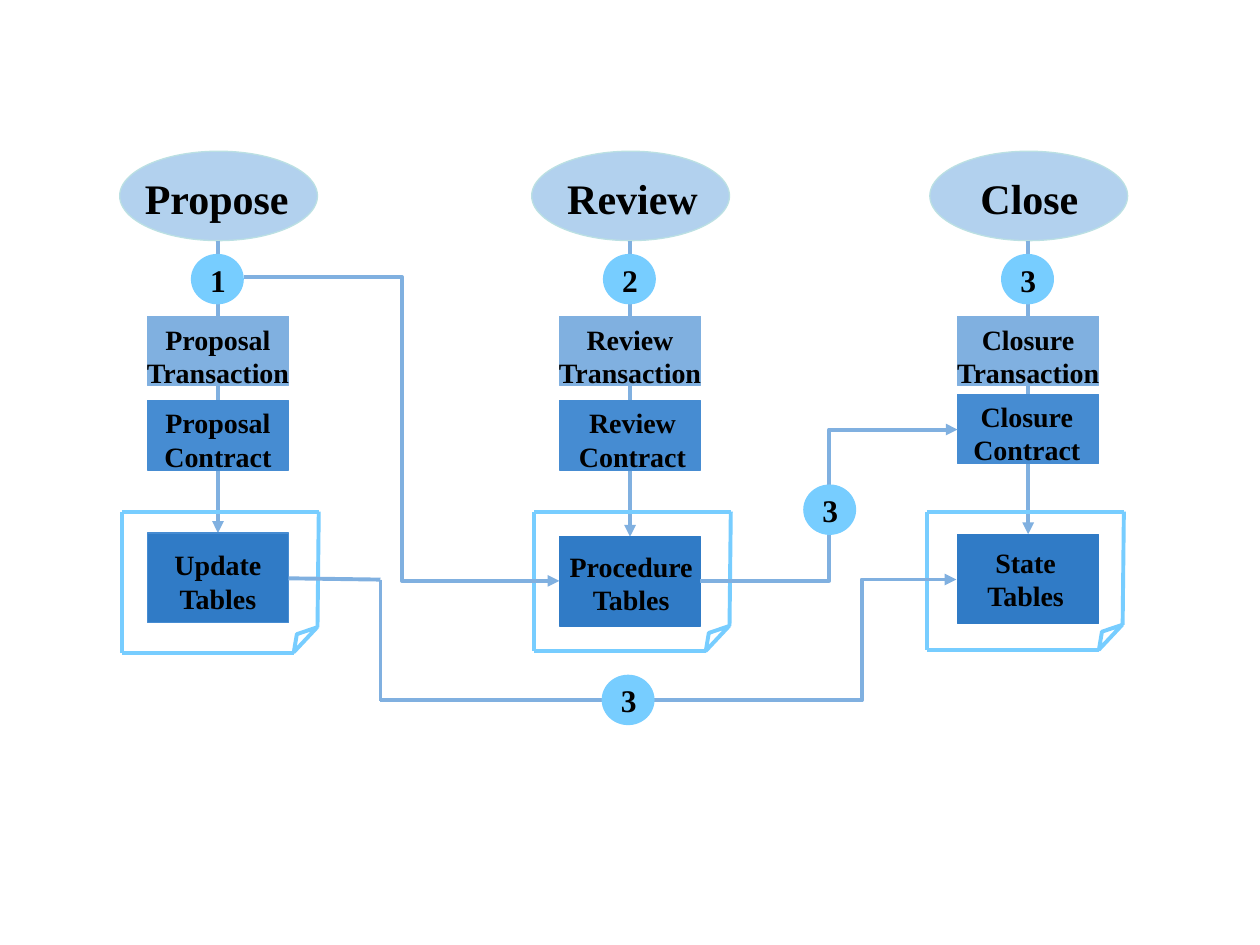
from dataclasses import dataclass

from lxml.etree import SubElement
from pptx import Presentation
from pptx.dml.color import RGBColor
from pptx.enum.shapes import MSO_CONNECTOR, MSO_SHAPE
from pptx.enum.text import MSO_AUTO_SIZE, PP_ALIGN
from pptx.oxml.ns import qn
from pptx.util import Emu, Pt

PX = 9144  # 100 px to the inch
FONT = "Times New Roman"
BLACK = RGBColor(0x00, 0x00, 0x00)
OVAL_FILL = RGBColor(0xB2, 0xD1, 0xEE)
OVAL_LINE = RGBColor(0xBB, 0xE0, 0xE3)
FLOW = RGBColor(0x80, 0xB0, 0xE0)
CONTRACT = RGBColor(0x46, 0x8C, 0xD2)
TABLES = RGBColor(0x30, 0x7B, 0xC6)
BRIGHT = RGBColor(0x77, 0xCD, 0xFF)

BOX_WIDTH = 112
BOX_HEIGHT = 55
TABLES_HEIGHT = 71


@dataclass
class Stage:
    center: int
    title: str
    title_width: int
    title_shift: int
    number: str
    subject: str
    contract_top: int
    contract_shift: int
    tables: str
    tables_width: int
    tables_shift: int
    tables_top: int
    tables_text_top: int
    tables_outline: RGBColor
    page_shift: int
    page_height: int


STAGES = [
    Stage(173, "Propose", 138, -1, "1", "Proposal", 198, 0,
          "Update", 90, 0, 303, 310, CONTRACT, -76, 112),
    Stage(500, "Review", 130, 2, "2", "Review", 198, 2,
          "Procedure", 120, 1, 306, 311, TABLES, -76, 111),
    Stage(816, "Close", 102, 1, "3", "Closure", 193, -1,
          "State", 84, -2, 304, 308, TABLES, -80, 110),
]


def px(*lengths):
    return [Emu(length * PX) for length in lengths]


def add_shape(shapes, kind, box, fill, outline, weight=0.75):
    shape = shapes.add_shape(kind, *px(*box))
    shape.shadow.inherit = False
    if fill is None:
        shape.fill.background()
    else:
        shape.fill.solid()
        shape.fill.fore_color.rgb = fill
    shape.line.color.rgb = outline
    shape.line.width = Pt(weight)
    return shape


def add_line(shapes, start, end, color=FLOW, arrow=False, bend=None):
    """Straight line, or an elbow whose middle leg lies at the fraction bend."""
    kind = MSO_CONNECTOR.STRAIGHT if bend is None else MSO_CONNECTOR.ELBOW
    connector = shapes.add_connector(kind, *px(*start, *end))
    connector.line.color.rgb = color
    connector.line.width = Pt(2.25)
    properties = connector._element.spPr
    if arrow:
        SubElement(connector.line._get_or_add_ln(), qn("a:tailEnd"), type="triangle")
    if bend is not None:
        adjustments = properties.find(qn("a:prstGeom")).get_or_add_avLst()
        SubElement(adjustments, qn("a:gd"), name="adj1",
                   fmla=f"val {round(bend * 100000)}")
    SubElement(properties, qn("a:effectLst"))


def add_label(slide, box, lines, size, wrap=False):
    frame = slide.shapes.add_textbox(*px(*box)).text_frame
    frame.word_wrap = wrap
    frame.auto_size = MSO_AUTO_SIZE.SHAPE_TO_FIT_TEXT
    for index, line in enumerate(lines):
        paragraph = frame.add_paragraph() if index else frame.paragraphs[0]
        paragraph.alignment = PP_ALIGN.CENTER
        run = paragraph.add_run()
        run.text = line
        run.font.name = FONT
        run.font.size = Pt(size)
        run.font.bold = True
        run.font.color.rgb = BLACK


def add_badge(slide, left, top, number):
    add_shape(slide.shapes, MSO_SHAPE.FLOWCHART_CONNECTOR, (left, top, 41, 39),
              BRIGHT, BRIGHT)
    add_label(slide, (left + 4, top, 34, 40), [number], 18, wrap=True)


def add_page(slide, left, top, width, height):
    """Outline of a sheet with its lower right corner folded."""
    shapes = slide.shapes.add_group_shape().shapes
    right, bottom = left + width, top + height
    for start, end in [
        ((left, top), (left, bottom)),
        ((left, top), (right, top)),
        ((right, top), (right - 1, bottom - 20)),
        ((left, bottom), (right - 20, bottom)),
    ]:
        add_line(shapes, start, end, BRIGHT)
    fold = add_shape(shapes, MSO_SHAPE.ISOSCELES_TRIANGLE,
                     (right - 27, bottom - 17, 27, 8), None, BRIGHT, 2.25)
    fold.adjustments[0] = 0.447
    fold.rotation = 313.2


def add_stage(slide, stage, top):
    """One column, hung on its centre line from the given top."""
    center = stage.center
    box_left = center - BOX_WIDTH // 2
    tables_top = top + stage.tables_top
    contract_top = top + stage.contract_top

    add_shape(slide.shapes, MSO_SHAPE.OVAL, (center - 78, top, 157, 71),
              OVAL_FILL, OVAL_LINE)
    add_line(slide.shapes, (center, top + 71), (center, tables_top), arrow=True)
    add_badge(slide, center - 21, top + 82, stage.number)
    for box_top, height, fill, outline in [
        (top + 131, BOX_HEIGHT, FLOW, FLOW),
        (contract_top, BOX_HEIGHT, CONTRACT, CONTRACT),
        (tables_top, TABLES_HEIGHT, TABLES, stage.tables_outline),
    ]:
        add_shape(slide.shapes, MSO_SHAPE.RECTANGLE,
                  (box_left, box_top, BOX_WIDTH, height), fill, outline)

    for middle, label_top, width, height, lines, size in [
        (center + stage.title_shift, top + 12, stage.title_width, 50,
         [stage.title], 24),
        (center, top + 131, 136, 64, [stage.subject, "Transaction"], 16),
        (center + stage.contract_shift, contract_top - 1, 106, 64,
         [stage.subject, "Contract"], 16),
        (center + stage.tables_shift, top + stage.tables_text_top,
         stage.tables_width, 64, [stage.tables, "Tables"], 16),
    ]:
        add_label(slide, (middle - width // 2, label_top, width, height), lines, size)
    add_page(slide, center + stage.page_shift, top + 286, 156, stage.page_height)


def add_links(slide):
    """Paths that lead from one column to the next."""
    shapes = slide.shapes
    add_line(shapes, (194, 220), (444, 461), arrow=True, bend=0.5)
    add_line(shapes, (556, 461), (760, 341), arrow=True, bend=0.5)
    add_line(shapes, (229, 459), (302, 460))
    add_line(shapes, (302, 460), (302, 556))
    add_line(shapes, (302, 556), (759, 460), arrow=True, bend=0.836)
    add_badge(slide, 638, 385, "3")
    add_badge(slide, 478, 536, "3")


def main():
    presentation = Presentation()
    presentation.slide_width, presentation.slide_height = px(1000, 750)
    slide = presentation.slides.add_slide(presentation.slide_layouts[6])
    for stage in STAGES:
        add_stage(slide, stage, 120)
    add_links(slide)
    presentation.save("out.pptx")


if __name__ == "__main__":
    main()
